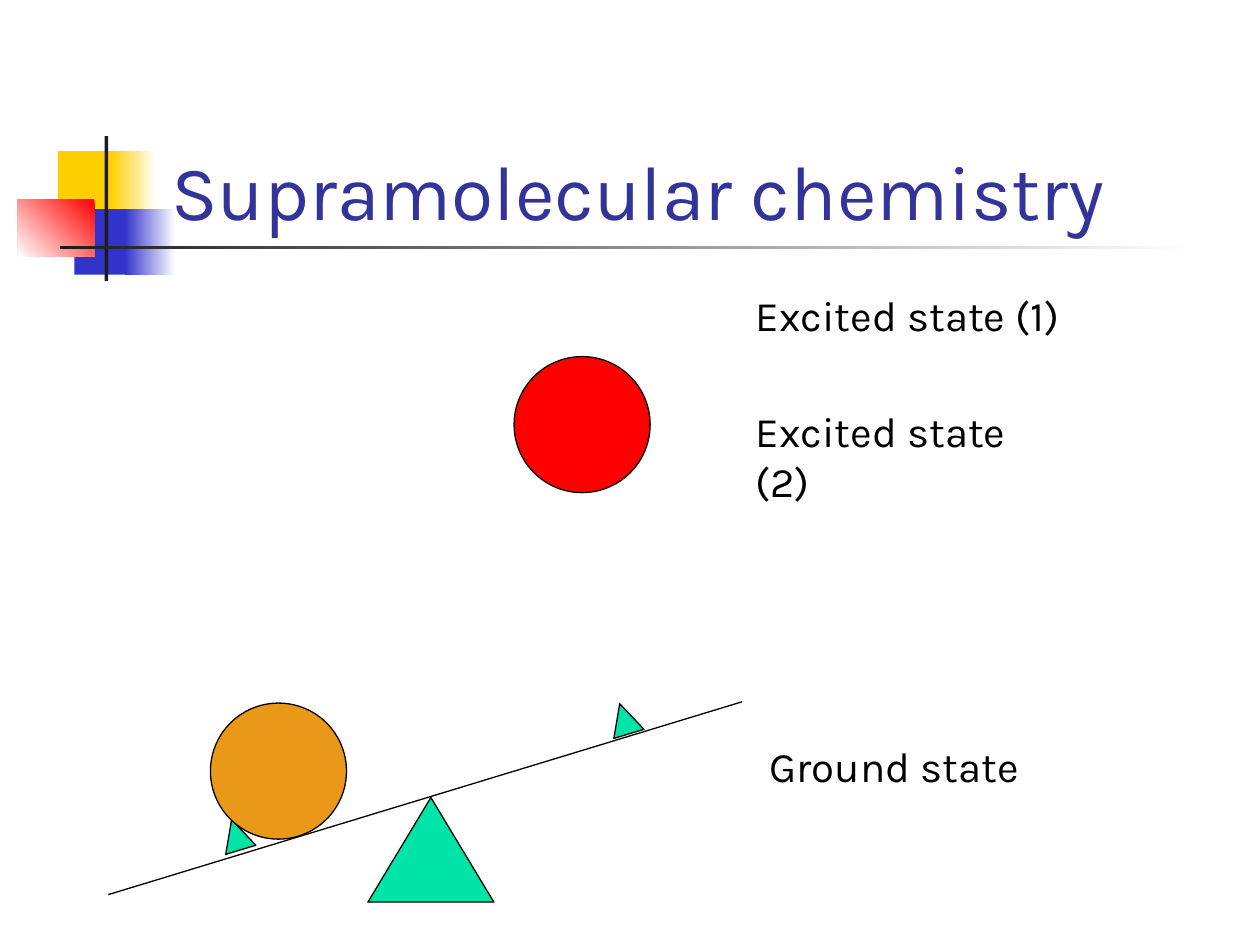
from pptx import Presentation
from pptx import util as u
from pptx.dml.color import RGBColor
from pptx.enum import shapes, text
from pptx.oxml.ns import qn
from lxml import etree

FONT = "Karla"
WHITE = RGBColor(0xFF, 0xFF, 0xFF)
BLACK = RGBColor(0, 0, 0)
YELLOW = RGBColor(0xFF, 0xCF, 0x01)
BLUE = RGBColor(0x33, 0x33, 0xCC)
RED = RGBColor(0xFF, 0, 0)
CHARCOAL = RGBColor(0x1C, 0x1C, 0x1C)
INDIGO = RGBColor(0x33, 0x33, 0x99)
GREEN = RGBColor(0, 0xE4, 0xA8)
ORANGE = RGBColor(0xE9, 0x99, 0x17)

SHAPE = shapes.MSO_SHAPE
TILT = -16.9
BALL = 1.08
STOP = 0.25


def place(shape, left, top, width, height):
    shape.left, shape.top = u.Inches(left), u.Inches(top)
    shape.width, shape.height = u.Inches(width), u.Inches(height)


def add_figure(slide, kind, box, color, outlined=True, rotation=0):
    shape = slide.shapes.add_shape(kind, *map(u.Inches, box))
    shape.shadow.inherit = False
    shape.rotation = rotation
    shape.fill.solid()
    shape.fill.fore_color.rgb = color
    if outlined:
        shape.line.color.rgb = BLACK
        shape.line.width = u.Pt(0.75)
    else:
        shape.line.fill.background()
    return shape


def add_fade(slide, box, start, end, angle=180):
    """Add a rectangle with a two-colour gradient; angle is counter-clockwise."""
    shape = add_figure(slide, SHAPE.RECTANGLE, box, start, outlined=False)
    shape.fill.gradient()
    shape.fill.gradient_angle = angle
    for stop, color, position in zip(shape.fill.gradient_stops, (start, end), (0, 1)):
        stop.color.rgb = color
        stop.position = position
    return shape


def add_ornament(slide):
    """Add the coloured blocks and crossing bars, returning the front bar."""
    for box, color in (((0.46, 1.2, 0.48, 0.52), YELLOW), ((0.59, 1.66, 0.46, 0.52), BLUE)):
        left, top, width, height = box
        add_figure(slide, SHAPE.RECTANGLE, box, color, outlined=False)
        fade_width = 0.36 if color == YELLOW else 0.4
        add_fade(slide, (left + width - 0.06, top, fade_width, height), WHITE, color)
    add_fade(slide, (0.14, 1.58, 0.61, 0.46), RED, WHITE, angle=225)
    add_figure(slide, SHAPE.RECTANGLE, (0.83, 1.08, 0.03, 1.15), CHARCOAL, outlined=False)
    return add_fade(slide, (0.48, 1.95, 9, 0.03), WHITE, CHARCOAL)


def write(shape, words, size, color):
    frame = shape.text_frame
    frame.text = words
    frame.word_wrap = True
    frame.auto_size = text.MSO_AUTO_SIZE.NONE
    paragraph = frame.paragraphs[0]
    paragraph.alignment = text.PP_ALIGN.LEFT
    font = paragraph.runs[0].font
    font.name, font.size, font.color.rgb = FONT, u.Pt(size), color


def add_label(slide, words, left, top, width):
    box = slide.shapes.add_textbox(*map(u.Inches, (left, top, width, 0.5)))
    write(box, words, 24, BLACK)


def add_plank(slide):
    plank = slide.shapes.add_connector(
        shapes.MSO_CONNECTOR.STRAIGHT, *map(u.Inches, (5.89, 5.57, 0.86, 7.1)))
    plank.line.color.rgb = BLACK
    plank.line.width = u.Pt(0.75)
    etree.SubElement(plank._element.spPr, qn("a:effectLst"))


def add_seesaw(slide):
    add_figure(slide, SHAPE.OVAL, (4.08, 2.83, BALL, BALL), RED)
    add_plank(slide)
    add_figure(slide, SHAPE.ISOSCELES_TRIANGLE, (2.92, 6.33, 1, 0.83), GREEN)
    for left, top in ((1.75, 6.5), (4.83, 5.58)):
        add_figure(slide, SHAPE.ISOSCELES_TRIANGLE, (left, top, STOP, STOP), GREEN, rotation=TILT)
    add_figure(slide, SHAPE.OVAL, (1.67, 5.58, BALL, BALL), ORANGE)


def main():
    presentation = Presentation()
    presentation.slide_width, presentation.slide_height = u.Inches(10), u.Inches(7.5)
    slide = presentation.slides.add_slide(presentation.slide_layouts[5])

    front_bar = add_ornament(slide)
    title = slide.shapes.title
    place(title, 1.26, 0.67, 8.52, 1.25)
    write(title, "Supramolecular chemistry", 44, INDIGO)
    title.text_frame.vertical_anchor = text.MSO_ANCHOR.BOTTOM
    front_bar._element.addnext(title._element)

    add_seesaw(slide)
    add_label(slide, "Ground state", 6.01, 5.83, 2.26)
    add_label(slide, "Excited state (1)", 5.9, 2.25, 2.66)
    add_label(slide, "Excited state (2)", 5.9, 3.17, 2.66)
    presentation.save("out.pptx")


if __name__ == "__main__":
    main()
